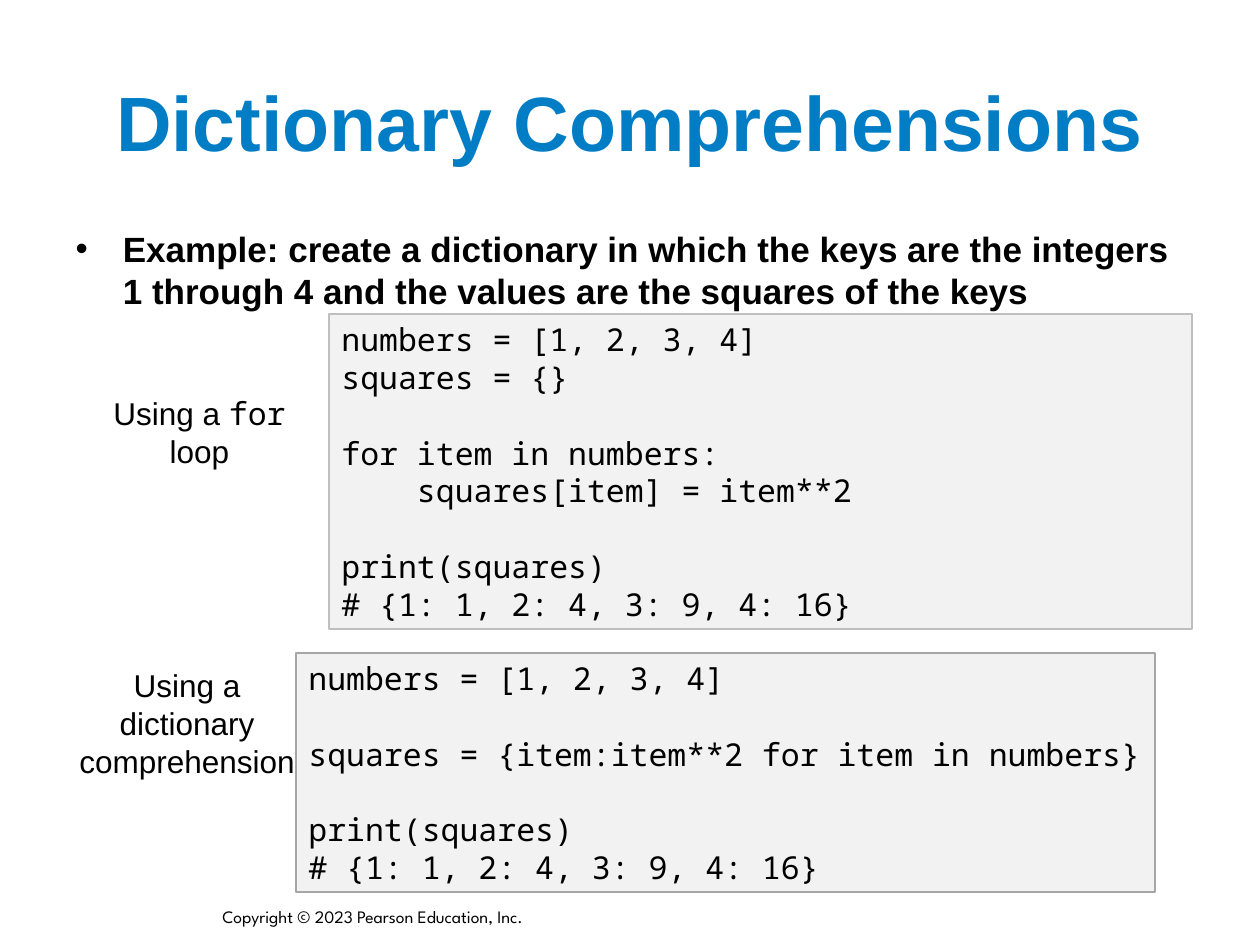
from pptx import Presentation, util as u
from pptx.dml.color import RGBColor
from pptx.enum import shapes, text

PX_PER_INCH = 126
SANS, MONO, FOOTER_FONT = "Arial", "Noto Sans Mono", "League Spartan"
CODE_LINE_POINTS = 21.6

FOR_LOOP = """numbers = [1, 2, 3, 4]
squares = {}

for item in numbers:
    squares[item] = item**2

print(squares)
# {1: 1, 2: 4, 3: 9, 4: 16}"""

COMPREHENSION = """numbers = [1, 2, 3, 4]

squares = {item:item**2 for item in numbers}

print(squares)
# {1: 1, 2: 4, 3: 9, 4: 16}"""


def px(length):
    return u.Emu(round(length * u.Inches(1) / PX_PER_INCH))


def color(value):
    return RGBColor.from_string(value)


def place(shape, box):
    for name, length in zip(("left", "top", "width", "height"), box):
        setattr(shape, name, px(length))


def format_frame(frame, **values):
    values = {"word_wrap": True, "auto_size": text.MSO_AUTO_SIZE.NONE,
              "vertical_anchor": text.MSO_ANCHOR.TOP, **values}
    for name, value in values.items():
        setattr(frame, name, value)


def add_run(paragraph, words, ink="000000", **values):
    run = paragraph.add_run()
    run.text = words
    for name, value in values.items():
        setattr(run.font, name, value)
    run.font.color.rgb = color(ink)


def fill_placeholder(shape, box, words, anchor, align, **font):
    place(shape, box)
    format_frame(shape.text_frame, vertical_anchor=anchor)
    paragraph = shape.text_frame.paragraphs[0]
    paragraph.alignment = align
    paragraph.space_before = u.Pt(0)
    add_run(paragraph, words, name=SANS, bold=True, **font)


def add_label(slide, box, runs, size=18, align=text.PP_ALIGN.CENTER,
              anchor=text.MSO_ANCHOR.TOP):
    shape = slide.shapes.add_textbox(*map(px, box))
    format_frame(shape.text_frame, vertical_anchor=anchor)
    paragraph = shape.text_frame.paragraphs[0]
    paragraph.alignment = align
    for words, font_name in runs:
        add_run(paragraph, words, name=font_name, size=u.Pt(size))


def add_code(slide, box, code, border, wrap):
    shape = slide.shapes.add_shape(shapes.MSO_SHAPE.RECTANGLE, *map(px, box))
    shape.shadow.inherit = False
    shape.fill.solid()
    shape.fill.fore_color.rgb = color("F2F2F2")
    shape.line.color.rgb = color(border)
    shape.line.width = u.Pt(0.75)
    frame = shape.text_frame
    format_frame(frame, word_wrap=wrap)
    # An empty code line becomes space before the next line
    paragraph, gap = frame.paragraphs[0], 0
    for number, line in enumerate(code.splitlines()):
        if not line:
            gap += CODE_LINE_POINTS
            continue
        if number:
            paragraph = frame.add_paragraph()
        paragraph.alignment = text.PP_ALIGN.LEFT
        paragraph.space_before = u.Pt(gap)
        add_run(paragraph, line, name=MONO, size=u.Pt(18))
        gap = 0


def build_slide(presentation):
    slide = presentation.slides.add_slide(presentation.slide_layouts[1])
    title, body = slide.placeholders

    # Title and bullet
    fill_placeholder(title, (63, 42, 1134, 158), "Dictionary Comprehensions",
                     text.MSO_ANCHOR.MIDDLE, text.PP_ALIGN.CENTER,
                     size=u.Pt(44), ink="007DC4")
    fill_placeholder(body, (63, 221, 1134, 624),
                     "Example: create a dictionary in which the keys are the "
                     "integers 1 through 4 and the values are the squares of "
                     "the keys",
                     text.MSO_ANCHOR.TOP, text.PP_ALIGN.LEFT, size=u.Pt(20))

    # Code panels
    add_code(slide, (329, 314, 863, 315), FOR_LOOP, "BFBFBF", True)
    add_code(slide, (296, 653, 859, 239), COMPREHENSION, "A6A6A6", False)

    # Labels beside the code
    add_label(slide, (84, 388, 231, 88),
              [("Using a ", SANS), ("for", MONO), (" loop", SANS)])
    add_label(slide, (64, 660, 246, 126),
              [("Using a dictionary comprehension", SANS)])

    # Footer
    add_label(slide, (210, 891, 462, 42),
              [("Copyright © 2023 Pearson Education, Inc.", FOOTER_FONT)],
              size=10, align=text.PP_ALIGN.LEFT, anchor=text.MSO_ANCHOR.BOTTOM)


def main():
    presentation = Presentation()
    presentation.slide_width = px(1260)
    presentation.slide_height = px(945)
    build_slide(presentation)
    presentation.save("out.pptx")


if __name__ == "__main__":
    main()
